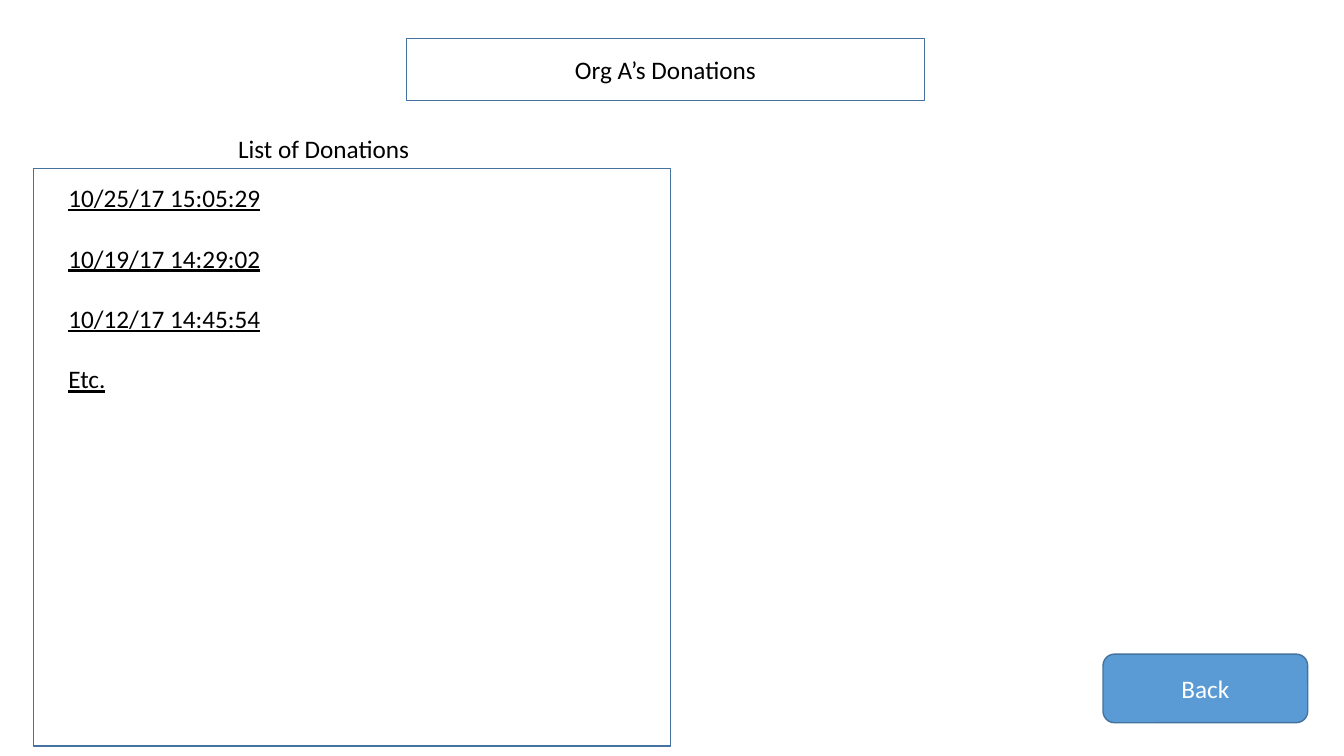
from dataclasses import dataclass

from pptx import Presentation
from pptx.dml.color import RGBColor
from pptx.enum.shapes import MSO_SHAPE as Form
from pptx.enum.text import MSO_ANCHOR as Anchor, MSO_AUTO_SIZE as Fit, PP_ALIGN as Align
from pptx.shapes.autoshape import Shape
from pptx.util import Inches, Pt

WIDE, HIGH = Inches(13.33), Inches(7.5)
BLACK, WHITE, BLUE, EDGE = "000000", "FFFFFF", "5B9BD5", "43739E"


@dataclass
class Box:
    left: float
    top: float
    width: float
    height: float

    def span(self) -> tuple[int, int, int, int]:
        return (
            int(WIDE * self.left / 100),
            int(HIGH * self.top / 100),
            int(WIDE * self.width / 100),
            int(HIGH * self.height / 100),
        )


@dataclass
class Label:
    box: Box
    lines: list[str]
    align: Align
    under: bool = False
    gap: float = 0


TITLE = Box(30.23, 5.07, 38.56, 8.27)
PANEL = Box(2.48, 22.27, 47.41, 76.4)
BACK = Box(82.07, 86.53, 15.23, 9.07)
DATES = ["10/25/17 15:05:29", "10/19/17 14:29:02", "10/12/17 14:45:54", "Etc."]
LABELS = [
    Label(Box(4.35, 23.47, 43.21, 41.73), DATES, Align.LEFT, True, 21.6),
    Label(Box(11.4, 16.93, 25.36, 5.33), ["List of Donations"], Align.CENTER),
]


def color(code: str) -> RGBColor:
    return RGBColor.from_string(code)


def write(shape: Shape, lines: list[str], align: Align, ink: str = BLACK,
          anchor: Anchor = Anchor.MIDDLE, under: bool = False, gap: float = 0) -> None:
    frame = shape.text_frame
    frame.text = "\n".join(lines)
    frame.word_wrap = True
    frame.auto_size = Fit.NONE
    frame.vertical_anchor = anchor
    for para in frame.paragraphs:
        para.alignment = align
        para.space_after = Pt(gap)
        font = para.font
        font.name, font.size, font.underline = "Calibri", Pt(18), under
        font.color.rgb = color(ink)


def edge(shape: Shape) -> None:
    shape.line.color.rgb = color(EDGE)
    shape.line.width = Pt(1)


def block(shapes, form: Form, box: Box) -> Shape:
    shape = shapes.add_shape(form, *box.span())
    shape.shadow.inherit = False
    edge(shape)
    return shape


def label(shapes, item: Label) -> None:
    shape = shapes.add_textbox(*item.box.span())
    write(shape, item.lines, item.align, anchor=Anchor.TOP,
          under=item.under, gap=item.gap)


def main() -> None:
    deck = Presentation()
    deck.slide_width, deck.slide_height = WIDE, HIGH
    shapes = deck.slides.add_slide(deck.slide_layouts[5]).shapes

    title = shapes.title
    title.left, title.top, title.width, title.height = TITLE.span()
    edge(title)
    write(title, ["Org A’s Donations"], Align.CENTER)

    panel = block(shapes, Form.RECTANGLE, PANEL)
    panel.fill.background()
    for item in LABELS:
        label(shapes, item)

    back = block(shapes, Form.ROUNDED_RECTANGLE, BACK)
    back.fill.solid()
    back.fill.fore_color.rgb = color(BLUE)
    write(back, ["Back"], Align.CENTER, WHITE)

    deck.save("out.pptx")


if __name__ == "__main__":
    main()
